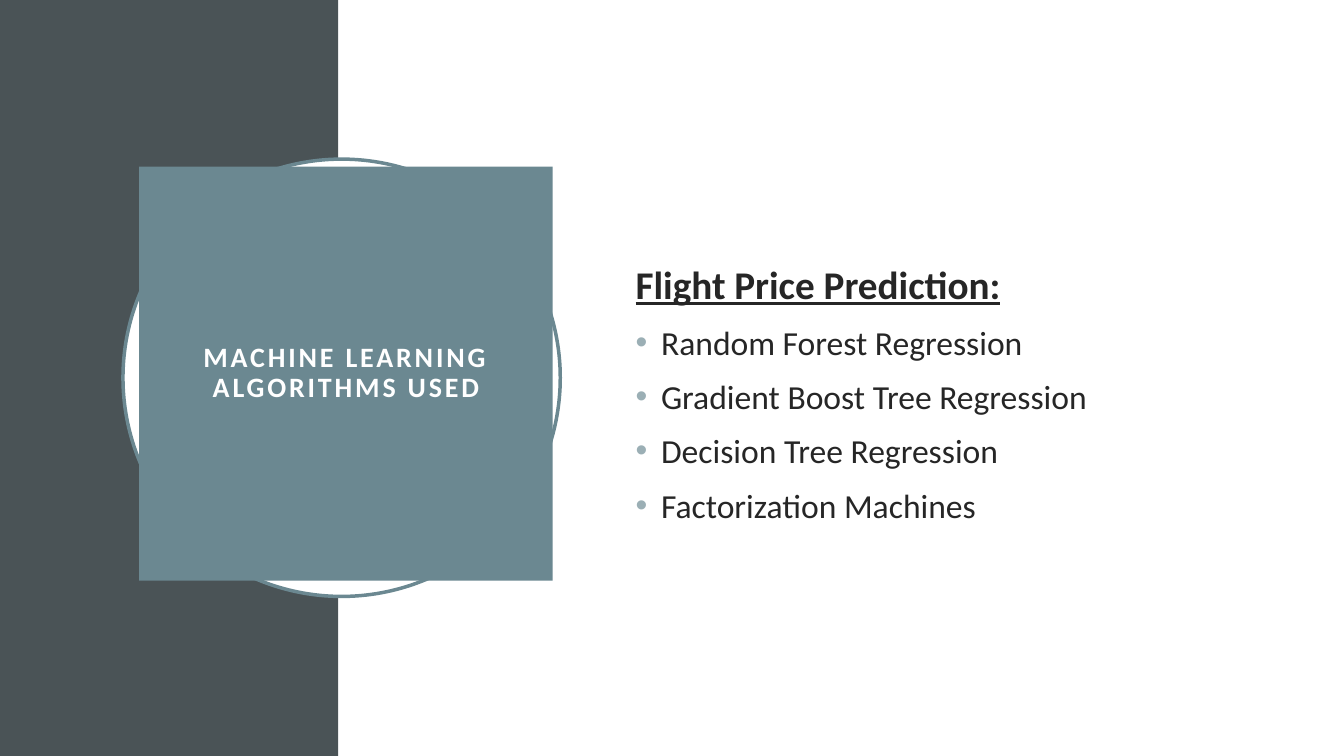
from lxml.etree import SubElement
from pptx import Presentation
from pptx.dml.color import RGBColor
from pptx.enum.shapes import MSO_SHAPE as Shape
from pptx.enum.text import MSO_ANCHOR as Anchor, PP_ALIGN as Align
from pptx.oxml.ns import qn
from pptx.util import Cm, Pt

SLATE, TEAL, MIST = "4A5356", "6B8891", "9BAFB5"
WHITE, INK = "FFFFFF", "262626"
ALGORITHMS = [
    "Random Forest Regression",
    "Gradient Boost Tree Regression",
    "Decision Tree Regression",
    "Factorization Machines",
]


def colour(hex_value):
    return RGBColor.from_string(hex_value)


def apply_format(target, values):
    for name, value in values.items():
        setattr(target, name, value)


def add_panel(slide, kind, box, fill, outline=None):
    panel = slide.shapes.add_shape(kind, *map(Cm, box))
    panel.shadow.inherit = False
    panel.fill.solid()
    panel.fill.fore_color.rgb = colour(fill)
    if outline:
        panel.line.color.rgb = colour(outline)
        panel.line.width = Pt(2.5)
    else:
        panel.line.fill.background()
    return panel


def write(paragraph, text, size, ink, **font_values):
    run = paragraph.add_run()
    run.text = text
    apply_format(run.font, {"name": "Calibri", "size": Pt(size), **font_values})
    run.font.color.rgb = colour(ink)
    return run


def add_title(slide, text):
    card = add_panel(slide, Shape.RECTANGLE, (3.51, 4.2, 10.42, 10.43), TEAL)
    frame = card.text_frame
    margins = dict.fromkeys(
        ("margin_left", "margin_top", "margin_right", "margin_bottom"), Cm(0.5))
    apply_format(frame, {"word_wrap": True, "vertical_anchor": Anchor.MIDDLE, **margins})
    heading = frame.paragraphs[0]
    apply_format(heading, {"alignment": Align.CENTER, "line_spacing": 0.9})
    run = write(heading, text, 20, WHITE, bold=True)
    run.font._element.set("spc", "200")


def add_bullet(paragraph):
    properties = paragraph._p.get_or_add_pPr()
    properties.set("marL", str(Cm(0.64)))
    properties.set("indent", str(-Cm(0.64)))
    bullet_colour = SubElement(properties, qn("a:buClr"))
    SubElement(bullet_colour, qn("a:srgbClr"), val=MIST)
    SubElement(properties, qn("a:buFont"), typeface="Arial")
    SubElement(properties, qn("a:buChar"), char="•")


def add_list(slide, heading, items):
    frame = slide.shapes.add_textbox(Cm(15.77), Cm(4.42), Cm(14.53), Cm(10.95)).text_frame
    apply_format(frame, {"word_wrap": True, "vertical_anchor": Anchor.MIDDLE})
    first = frame.paragraphs[0]
    first.space_before = Pt(10)
    write(first, heading, 28, INK, bold=True, underline=True)
    for item in items:
        entry = frame.add_paragraph()
        entry.space_before = Pt(10)
        add_bullet(entry)
        write(entry, item, 24, INK)


def main():
    deck = Presentation()
    apply_format(deck, {"slide_width": Cm(33.87), "slide_height": Cm(19.05)})
    slide = deck.slides.add_slide(deck.slide_layouts[6])
    add_panel(slide, Shape.RECTANGLE, (0, 0, 8.53, 19.05), SLATE)
    add_panel(slide, Shape.RECTANGLE, (8.53, 0, 25.34, 19.05), WHITE)
    add_panel(slide, Shape.OVAL, (3.1, 4.01, 11.02, 11.02), WHITE, TEAL)
    add_title(slide, "MACHINE LEARNING ALGORITHMS USED")
    add_list(slide, "Flight Price Prediction:", ALGORITHMS)
    deck.save("out.pptx")


if __name__ == "__main__":
    main()
